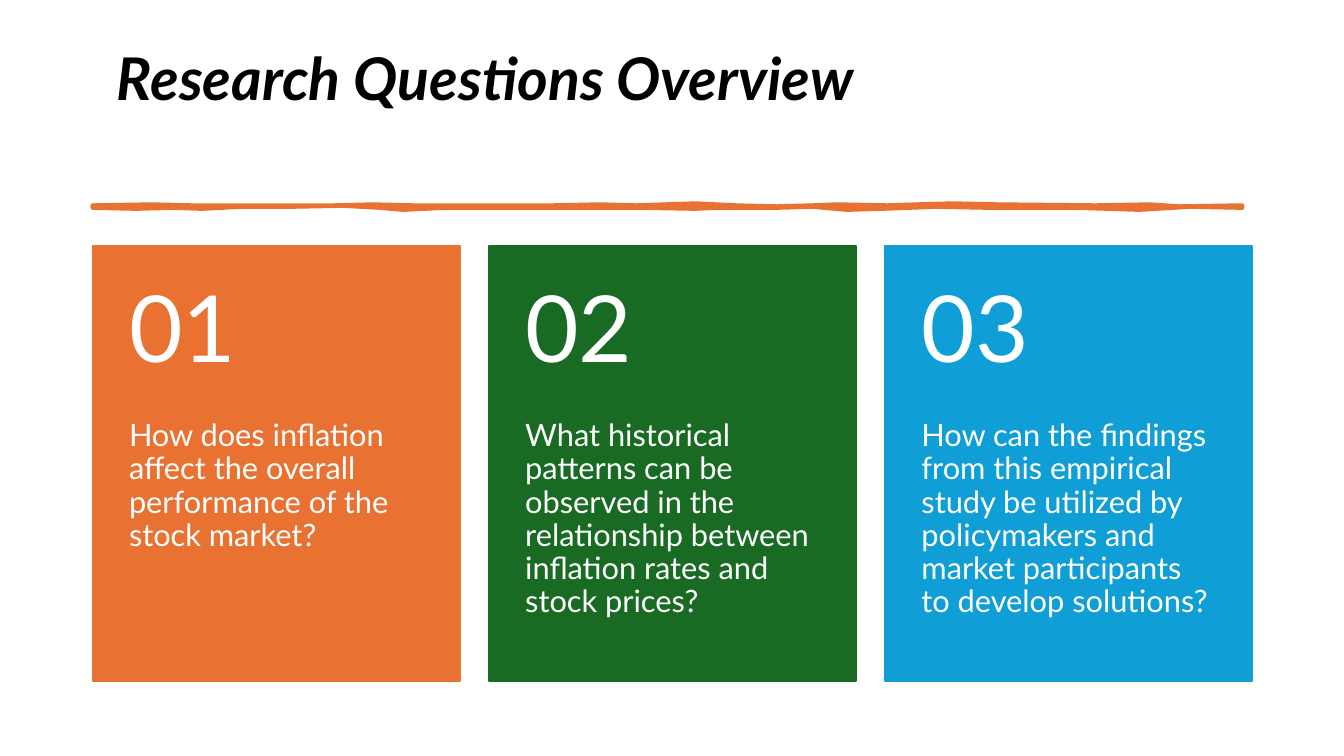
import pptx
import pptx.util
import pptx.dml.color
import pptx.enum.shapes
import pptx.enum.text
import lxml.etree

Inches = pptx.util.Inches
LEFT, CARD_TOP = 0.92, 2.44
CARD_WIDTH, CARD_HEIGHT, CARD_STEP = 3.64, 4.32, 3.93
NUMBER_HEIGHT = 0.4 * CARD_HEIGHT
ORANGE, GREEN, BLUE = "E97132", "196B24", "0F9ED5"


def color(hex_string):
    return pptx.dml.color.RGBColor.from_string(hex_string)


def write_text(shape, text, size, font_color="FFFFFF", bold=False, italic=False,
               anchor=pptx.enum.text.MSO_ANCHOR.TOP, insets=(0, 0, 0, 0)):
    frame = shape.text_frame
    frame.word_wrap = True
    frame.auto_size = pptx.enum.text.MSO_AUTO_SIZE.NONE
    frame.vertical_anchor = anchor
    frame.margin_left, frame.margin_top, frame.margin_right, frame.margin_bottom = map(Inches, insets)
    paragraph = frame.paragraphs[0]
    paragraph.alignment = pptx.enum.text.PP_ALIGN.LEFT
    paragraph.line_spacing = 0.9
    run = paragraph.add_run()
    run.text = text
    run.font.name = "Lato"
    run.font.size = pptx.util.Pt(size)
    run.font.bold = bold
    run.font.italic = italic
    run.font.color.rgb = color(font_color)


presentation = pptx.Presentation()
presentation.slide_width = Inches(13.33)
presentation.slide_height = Inches(7.5)
slide = presentation.slides.add_slide(presentation.slide_layouts[5])
middle = pptx.enum.text.MSO_ANCHOR.MIDDLE

title = slide.shapes.title
title.left, title.top, title.width, title.height = map(Inches, (LEFT, 0.4, 11.5, 1.45))
write_text(title, "Research Questions Overview", 42, font_color="000000", bold=True,
           italic=True, anchor=middle, insets=(0.24, 0.05, 0.1, 0.68))

upper_edge = [(0.92, 2.04), (1.5, 2.03), (1.9, 2.04), (2.44, 2.04), (3.31, 2.04), (3.7, 2.03),
              (4.1, 2.04), (4.6, 2.04), (5.48, 2.04), (5.95, 2.03), (6.31, 2.04), (6.6, 2.03),
              (6.9, 2.02), (7.3, 2.04), (7.7, 2.05), (8.06, 2.04), (8.3, 2.03), (8.8, 2.04),
              (9.1, 2.03), (9.45, 2.02), (9.9, 2.03), (10.87, 2.04), (11.4, 2.03), (11.7, 2.05),
              (12.32, 2.04)]
lower_edge = [(12.32, 2.06), (11.8, 2.05), (11.3, 2.08), (10.68, 2.06), (10.2, 2.06), (9.81, 2.06),
              (9.28, 2.05), (8.75, 2.07), (8.4, 2.08), (8.06, 2.05), (7.7, 2.06), (7.11, 2.06),
              (6.9, 2.07), (6.35, 2.06), (5.7, 2.06), (5.06, 2.06), (4.41, 2.06), (4.0, 2.08),
              (3.77, 2.06), (3.4, 2.04), (2.89, 2.05), (2.4, 2.05), (2.0, 2.07), (1.71, 2.06),
              (1.35, 2.07), (0.92, 2.06)]
outline = [(Inches(x), Inches(y)) for x, y in upper_edge + lower_edge]
builder = slide.shapes.build_freeform(*outline[0])
builder.add_line_segments(outline[1:], close=True)
brush_line = builder.convert_to_shape()
brush_line.shadow.inherit = False
brush_line.fill.solid()
brush_line.fill.fore_color.rgb = color(ORANGE)
brush_line.line.color.rgb = color(ORANGE)
brush_line.line.width = pptx.util.Pt(3.25)
line_properties = brush_line.line._get_or_add_ln()
lxml.etree.SubElement(line_properties, pptx.oxml.ns.qn("a:round"))

questions = [
    (ORANGE, "How does inflation affect the overall performance of the stock market?"),
    (GREEN, "What historical patterns can be observed in the relationship between "
            "inflation rates and stock prices?"),
    (BLUE, "How can the findings from this empirical study be utilized by policymakers "
           "and market participants to develop solutions?"),
]
for index, (card_color, question) in enumerate(questions):
    card_left = LEFT + index * CARD_STEP
    card = slide.shapes.add_shape(
        pptx.enum.shapes.MSO_SHAPE.RECTANGLE,
        *map(Inches, (card_left, CARD_TOP, CARD_WIDTH, CARD_HEIGHT)))
    card.shadow.inherit = False
    card.fill.solid()
    card.fill.fore_color.rgb = color(card_color)
    card.line.color.rgb = color(card_color)
    card.line.width = pptx.util.Pt(1.5)

    question_box = slide.shapes.add_textbox(
        *map(Inches, (card_left, CARD_TOP + NUMBER_HEIGHT, CARD_WIDTH, CARD_HEIGHT - NUMBER_HEIGHT)))
    write_text(question_box, question, 22, insets=(0.36, 0, 0.36, 0.36))

    number_box = slide.shapes.add_textbox(
        *map(Inches, (card_left, CARD_TOP, CARD_WIDTH, NUMBER_HEIGHT)))
    write_text(number_box, f"{index + 1:02d}", 66, anchor=middle, insets=(0.36, 0.18, 0.36, 0.18))

presentation.save("out.pptx")
